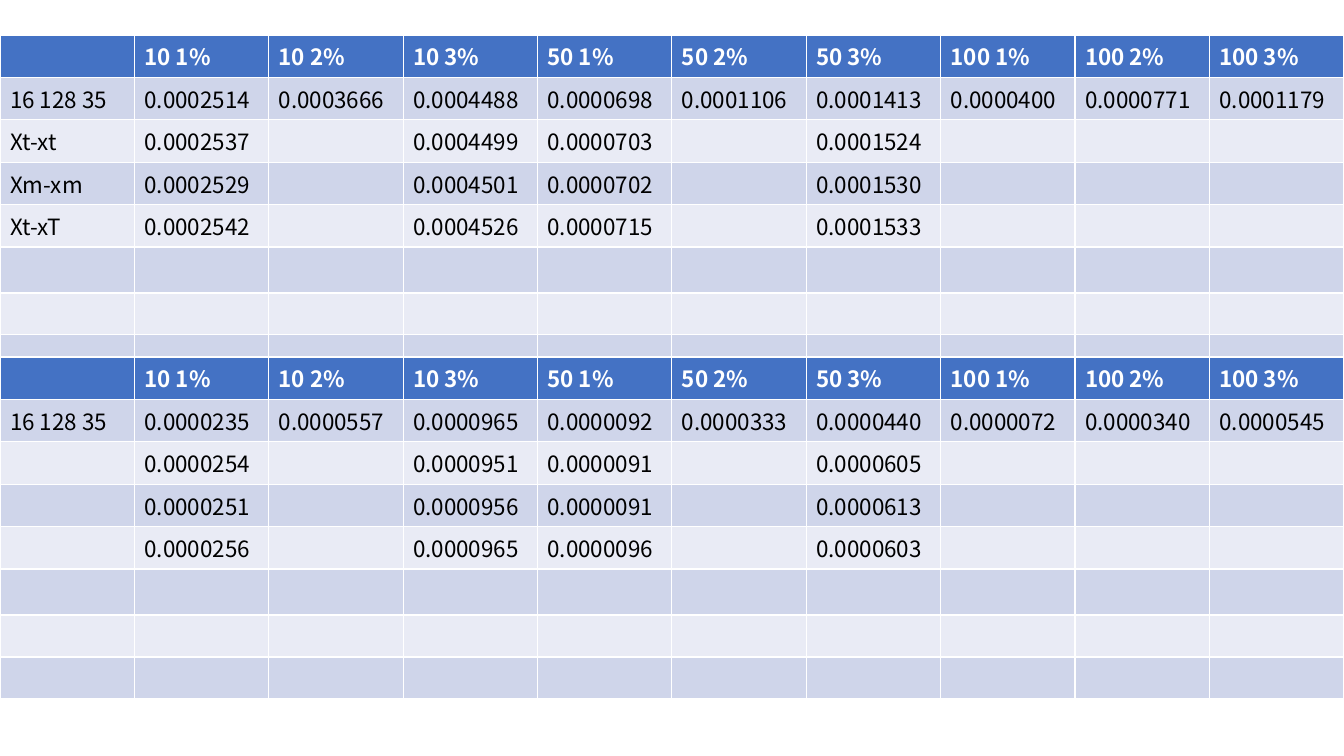
from pptx import Presentation
from pptx.dml.color import RGBColor as RGB
from pptx.util import Emu, Pt

WHITE = RGB(0xFF, 0xFF, 0xFF)
BLACK = RGB(0x00, 0x00, 0x00)
BLUE = RGB(0x44, 0x72, 0xC4)
DARK = RGB(0xCF, 0xD5, 0xEA)
LIGHT = RGB(0xE9, 0xEB, 0xF5)
FONT = "Noto Sans CJK SC"
WIDE, HIGH = 1344, 756
ROWS = [42, 42, 42, 42, 42, 46, 42, 42]


def px(n):
    return Emu(round(n * 914400 / 100.8))


head = [""] + [f"{size} {rate}%" for size in (10, 50, 100) for rate in (1, 2, 3)]
upper = [
    ["16 128 35", "0.0002514", "0.0003666", "0.0004488", "0.0000698",
     "0.0001106", "0.0001413", "0.0000400", "0.0000771", "0.0001179"],
    ["Xt-xt", "0.0002537", "", "0.0004499", "0.0000703", "", "0.0001524"],
    ["Xm-xm", "0.0002529", "", "0.0004501", "0.0000702", "", "0.0001530"],
    ["Xt-xT", "0.0002542", "", "0.0004526", "0.0000715", "", "0.0001533"],
]
lower = [
    ["16 128 35", "0.0000235", "0.0000557", "0.0000965", "0.0000092",
     "0.0000333", "0.0000440", "0.0000072", "0.0000340", "0.0000545"],
    ["", "0.0000254", "", "0.0000951", "0.0000091", "", "0.0000605"],
    ["", "0.0000251", "", "0.0000956", "0.0000091", "", "0.0000613"],
    ["", "0.0000256", "", "0.0000965", "0.0000096", "", "0.0000603"],
]

deck = Presentation()
deck.slide_width, deck.slide_height = px(WIDE), px(HIGH)
slide = deck.slides.add_slide(deck.slide_layouts[6])

for top, data in ((35, upper), (357, lower)):
    frame = slide.shapes.add_table(
        len(ROWS), len(head), 0, px(top), px(WIDE), px(sum(ROWS)))
    table = frame.table
    for r, tall in enumerate(ROWS):
        table.rows[r].height = px(tall)
        for cell in table.rows[r].cells:
            cell.fill.solid()
            cell.fill.fore_color.rgb = BLUE if r == 0 else DARK if r % 2 else LIGHT
    for r, line in enumerate([head] + data):
        for c, text in enumerate(line):
            if text:
                para = table.cell(r, c).text_frame.paragraphs[0]
                para.text = text
                font = para.font
                font.name, font.size, font.bold = FONT, Pt(16), r == 0
                font.color.rgb = BLACK if r else WHITE

deck.save("out.pptx")
